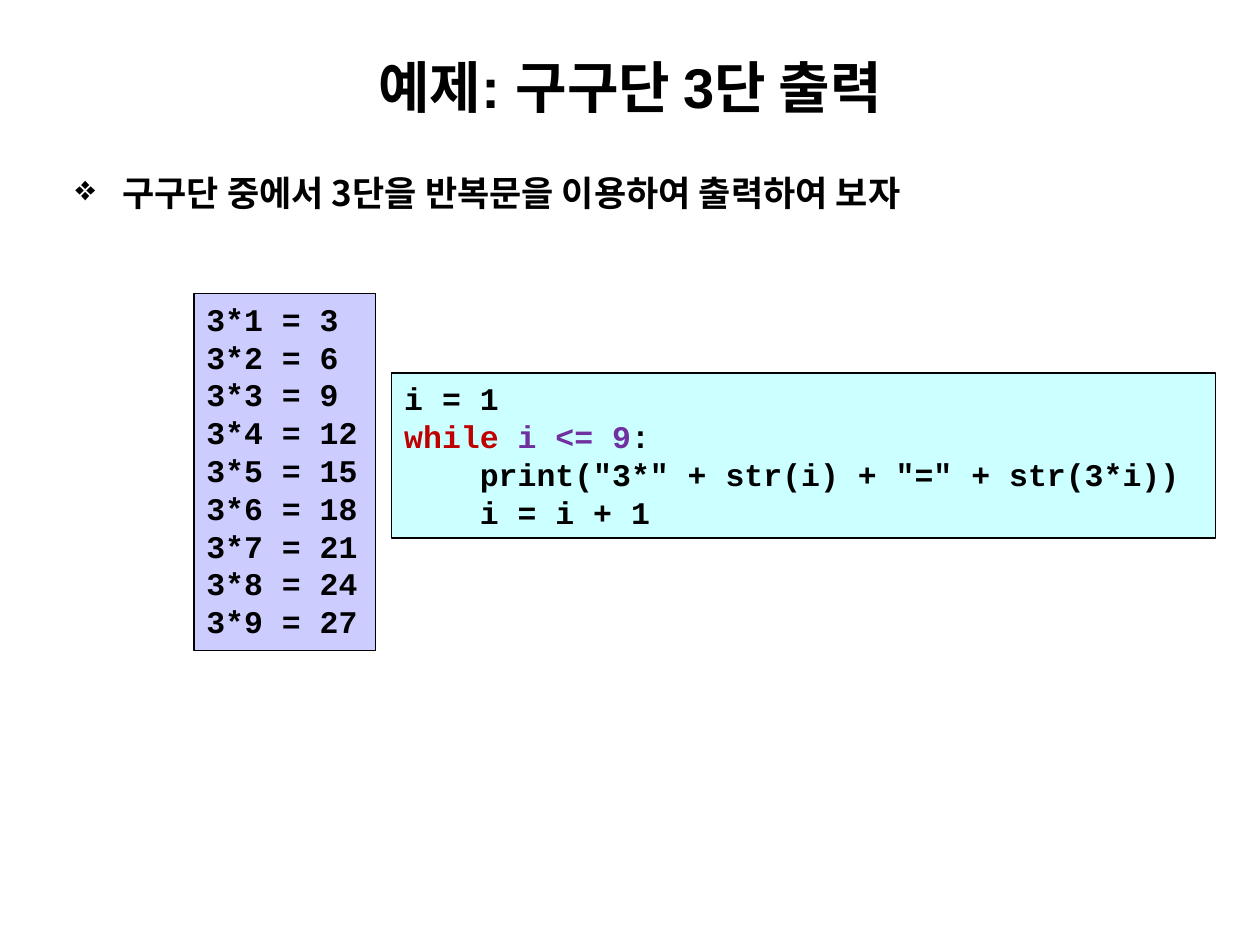
from lxml.etree import SubElement
from pptx import Presentation
from pptx.dml.color import RGBColor as RGB
from pptx.enum.shapes import MSO_SHAPE as SHAPE
from pptx.enum.text import MSO_ANCHOR as ANCHOR, PP_ALIGN as ALIGN
from pptx.oxml.ns import qn
from pptx.util import Cm, Pt

COLORS = {
    "black": "000000",
    "lavender": "CCCCFF",
    "cyan": "CCFFFF",
    "red": "C00000",
    "purple": "7030A0",
}
KOREAN = "Noto Sans CJK KR"


class SlideBuilder:
    heading_font = "Arial"
    body_font = KOREAN
    code_font = "Courier New"

    def __init__(self, prs):
        self.s = prs.slides.add_slide(prs.slide_layouts[6])

    def style(self, r, font, size, color="black"):
        r.font.name = font
        r.font.size = Pt(size)
        r.font.bold = True
        r.font.color.rgb = RGB.from_string(COLORS[color])
        SubElement(r.font._element, qn("a:ea")).set("typeface", KOREAN)

    def text_box(self, box, text):
        tf = self.s.shapes.add_textbox(*map(Cm, box)).text_frame
        tf.word_wrap = True
        tf.text = text
        return tf

    def title(self, box, text):
        tf = self.text_box(box, text)
        tf.vertical_anchor = ANCHOR.MIDDLE
        p = tf.paragraphs[0]
        p.alignment = ALIGN.CENTER
        self.style(p.runs[0], self.heading_font, 32)

    def bullet(self, box, text, mark="❖"):
        p = self.text_box(box, text).paragraphs[0]
        pPr = p._p.get_or_add_pPr()
        indent = Cm(0.95)
        pPr.set("marL", str(indent))
        pPr.set("indent", str(-indent))
        SubElement(pPr, qn("a:buChar")).set("char", mark)
        self.style(p.runs[0], self.body_font, 20)

    def code(self, box, fill, lines):
        sp = self.s.shapes.add_shape(SHAPE.RECTANGLE, *map(Cm, box))
        sp.shadow.inherit = False
        sp.fill.solid()
        sp.fill.fore_color.rgb = RGB.from_string(COLORS[fill])
        sp.line.color.rgb = RGB.from_string(COLORS["black"])
        sp.line.width = Pt(0.75)
        tf = sp.text_frame
        tf.word_wrap = True
        tf.vertical_anchor = ANCHOR.TOP
        for i, line in enumerate(lines):
            p = tf.add_paragraph() if i else tf.paragraphs[0]
            p.alignment = ALIGN.LEFT
            for text, color in line:
                r = p.add_run()
                r.text = text
                self.style(r, self.code_font, 18, color)


def main():
    prs = Presentation()
    prs.slide_width, prs.slide_height = Cm(25.4), Cm(19.05)
    slide = SlideBuilder(prs)
    slide.title((1.27, 0.76, 22.86, 1.96), "예제: 구구단 3단 출력")
    slide.bullet((1.27, 3.33, 22.86, 14.81),
                 "구구단 중에서 3단을 반복문을 이용하여 출력하여 보자")
    slide.code((3.91, 5.92, 3.66, 7.19), "lavender",
               [[(f"3*{i} = {3 * i}", "black")] for i in range(1, 10)])
    slide.code((7.9, 7.52, 16.61, 3.33), "cyan", [
        [("i = 1", "black")],
        [("while ", "red"), ("i <= 9", "purple"), (":", "black")],
        [('    print("3*" + str(i) + "=" + str(3*i))', "black")],
        [("    i = i + 1", "black")],
    ])
    prs.save("out.pptx")


if __name__ == "__main__":
    main()
